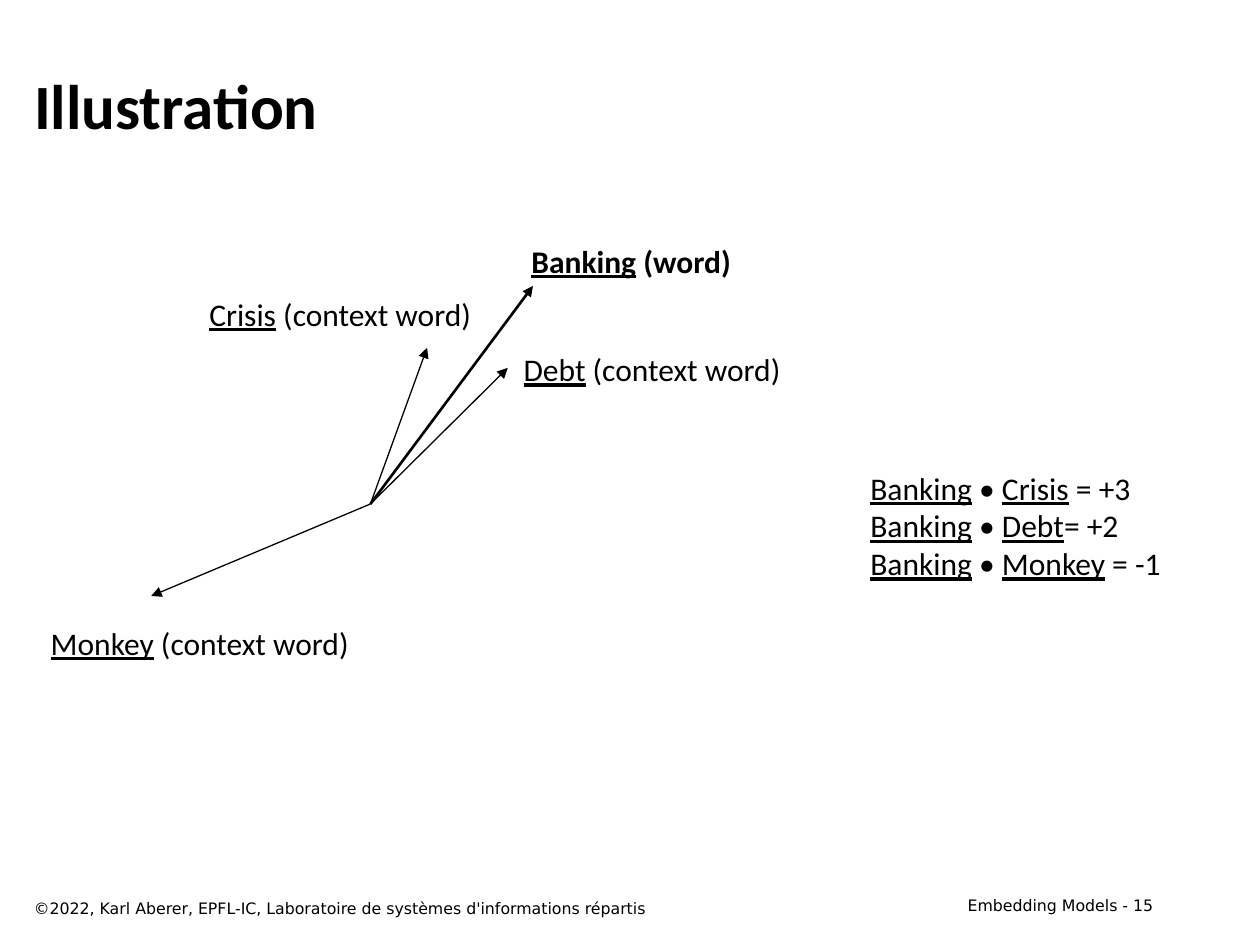
from lxml.etree import SubElement
from pptx import Presentation
from pptx.dml.color import RGBColor
from pptx.enum.shapes import MSO_CONNECTOR
from pptx.enum.text import MSO_ANCHOR, PP_ALIGN as Align
from pptx.oxml.ns import qn
from pptx.util import Inches, Pt

BLACK = RGBColor(0, 0, 0)
BODY = {"name": "Calibri", "size": Pt(18), "bold": False}
STRONG = {**BODY, "bold": True}
HEADING = {**STRONG, "size": Pt(36)}
SMALL = {"name": "DejaVu Sans", "size": Pt(9), "bold": False}

TITLE = "Illustration"
TITLE_BOX = (0.17, 0.33, 9.08, 1)
ORIGIN = (2.94, 4)
# word, role, label box, arrow tip, line width, text format
VECTORS = [
    ("Banking", "word", (4.11, 1.87, 1.8, 0.4), (4.23, 2.27), 1.5, STRONG),
    ("Debt", "context word", (4.04, 2.73, 2.27, 0.4), (4.03, 2.92), 0.75, BODY),
    ("Crisis", "context word", (1.55, 2.29, 2.3, 0.4), (3.39, 2.76), 0.75, BODY),
    ("Monkey", "context word", (0.29, 4.9, 2.59, 0.4), (1.2, 4.73), 0.75, BODY),
]
PRODUCTS = [("Crisis", " = +3"), ("Debt", "= +2"), ("Monkey", " = -1")]
PRODUCTS_BOX = (6.81, 3.67, 3.23, 2.22)
# text, box, alignment
FOOTERS = [
    ("Embedding Models - 15", (6.34, 7.06, 2.91, 0.25), Align.RIGHT),
    ("©2022, Karl Aberer, EPFL-IC, Laboratoire de systèmes d'informations répartis",
     (0.17, 7.08, 6.42, 0.25), Align.LEFT),
]


def inches(values):
    return [Inches(value) for value in values]


def fill_paragraph(paragraph, runs, text_format, alignment):
    """Write (text, underlined) pairs as runs."""
    paragraph.alignment = alignment
    for text, underlined in runs:
        run = paragraph.add_run()
        run.text = text
        for name, value in text_format.items():
            setattr(run.font, name, value)
        run.font.underline = underlined
        run.font.color.rgb = BLACK


def add_text(slide, box, lines, text_format, alignment, wrap=True):
    frame = slide.shapes.add_textbox(*inches(box)).text_frame
    frame.word_wrap = wrap
    for index, runs in enumerate(lines):
        paragraph = frame.add_paragraph() if index else frame.paragraphs[0]
        fill_paragraph(paragraph, runs, text_format, alignment)


def add_arrow(slide, start, end, width):
    arrow = slide.shapes.add_connector(
        MSO_CONNECTOR.STRAIGHT, *inches(start + end))
    arrow.line.color.rgb = BLACK
    arrow.line.width = Pt(width)
    SubElement(arrow.line._get_or_add_ln(), qn("a:tailEnd"), type="triangle")
    SubElement(arrow._element.spPr, qn("a:effectLst"))


def add_title(slide):
    title = slide.shapes.title
    title.left, title.top, title.width, title.height = inches(TITLE_BOX)
    title.text_frame.vertical_anchor = MSO_ANCHOR.MIDDLE
    fill_paragraph(title.text_frame.paragraphs[0], [(TITLE, False)],
                   HEADING, Align.LEFT)


def main():
    presentation = Presentation()
    presentation.slide_width, presentation.slide_height = inches((10, 7.5))
    slide = presentation.slides.add_slide(presentation.slide_layouts[5])
    add_title(slide)

    for word, role, box, tip, width, text_format in VECTORS:
        add_arrow(slide, ORIGIN, tip, width)
        add_text(slide, box, [[(word, True), (f" ({role})", False)]],
                 text_format, Align.CENTER, wrap=False)

    products = [[("Banking", True), (" • ", False), (word, True), (result, False)]
                for word, result in PRODUCTS]
    add_text(slide, PRODUCTS_BOX, products, BODY, Align.LEFT)

    for text, box, alignment in FOOTERS:
        add_text(slide, box, [[(text, False)]], SMALL, alignment)

    presentation.save("out.pptx")


if __name__ == "__main__":
    main()
